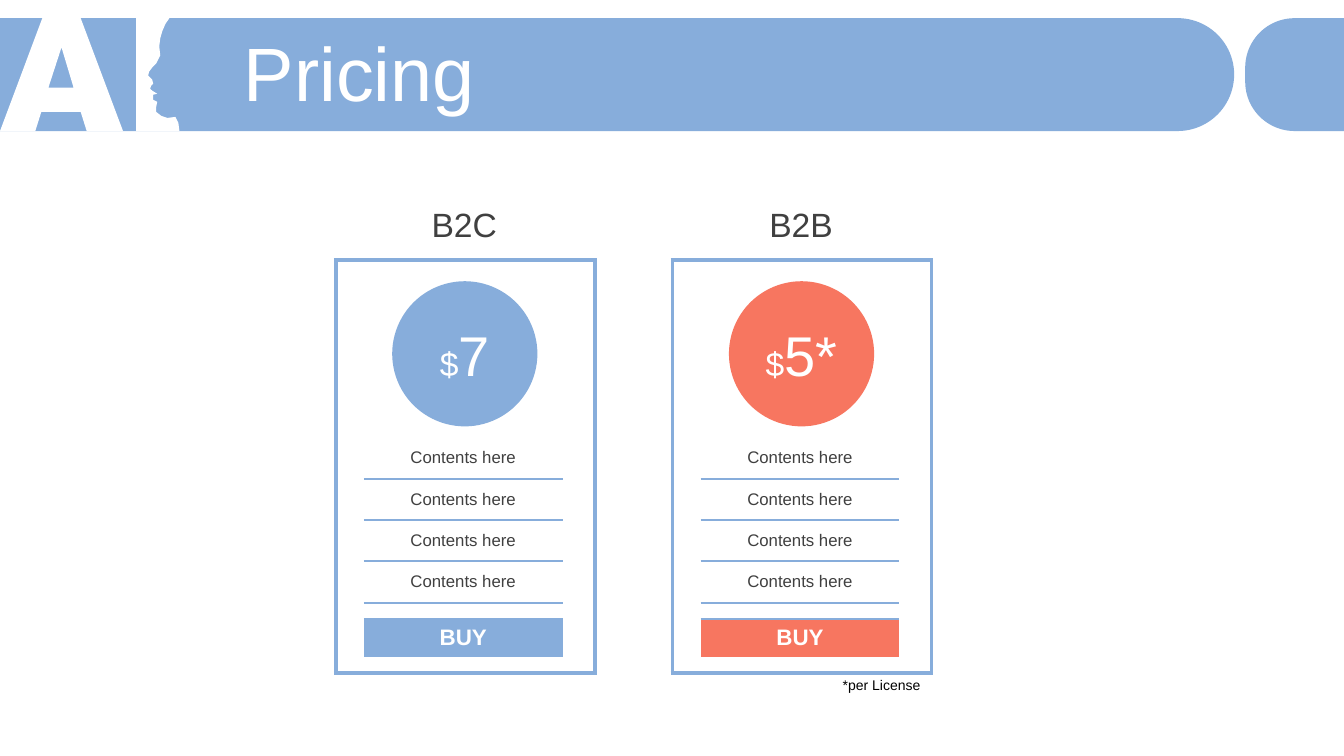
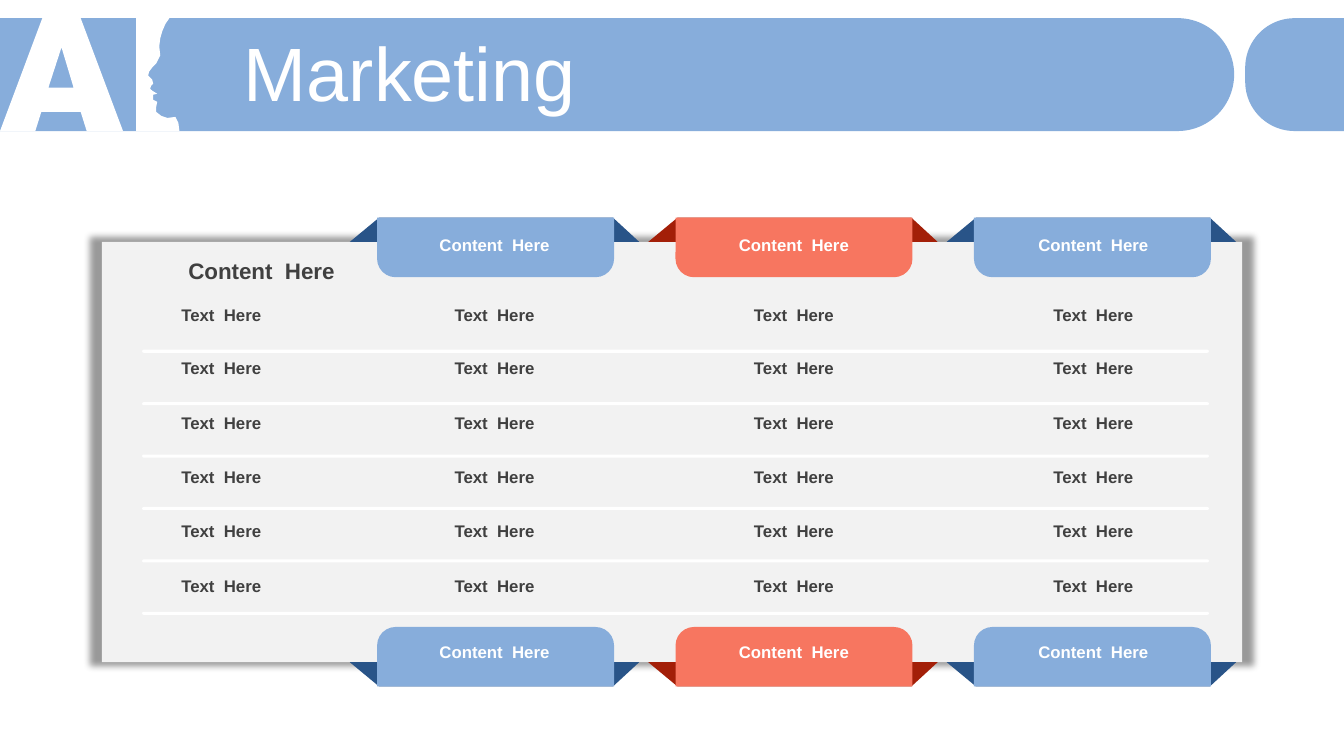
from dataclasses import dataclass

import pptx
import pptx.dml.color
import pptx.enum.shapes
import pptx.enum.text
import pptx.oxml
import pptx.oxml.ns
import pptx.util

Inches = pptx.util.Inches
Pt = pptx.util.Pt
Preset = pptx.enum.shapes.MSO_SHAPE
Align = pptx.enum.text.PP_ALIGN
Anchor = pptx.enum.text.MSO_ANCHOR
qn = pptx.oxml.ns.qn
Point = tuple[float, float]


@dataclass(frozen=True)
class Theme:
    font: str = "Arial"
    blue: str = "87ADDB"
    coral: str = "F77660"
    deep_blue: str = "295488"
    deep_red: str = "A31F08"
    panel: str = "F2F2F2"
    white: str = "FFFFFF"
    ink: str = "404040"
    black: str = "000000"
    title: int = 54
    price: int = 40
    heading: int = 24
    label: int = 16
    body: int = 12
    note: int = 10
    spacer: int = 4
    frame_line: float = 3
    row_line: float = 1.5


@dataclass(frozen=True)
class Plan:
    name: str
    price: str
    accent: str
    left: float


@dataclass(frozen=True)
class Ribbon:
    accent: str
    fold: str


THEME = Theme()
NO_GRID_STYLE = "{2D5ABB26-0587-4C30-8999-92F81FD0307C}"

# Title band
BAND_TOP, BAND_HEIGHT = 0.18, 1.12
LETTER_A = [(0.42, 0.18), (0.8, 0.18), (1.22, 1.3), (0.86, 1.3), (0.8, 1.11),
            (0.41, 1.11), (0.35, 1.3), (0, 1.3)]
LETTER_A_HOLE = [(0.61, 0.47), (0.48, 0.87), (0.73, 0.87)]
PROFILE = [(1.35, 0.18), (1.68, 0.18), (1.64, 0.24), (1.61, 0.31), (1.59, 0.38),
           (1.58, 0.46), (1.59, 0.55), (1.55, 0.63), (1.51, 0.67), (1.48, 0.71),
           (1.47, 0.75), (1.51, 0.79), (1.52, 0.83), (1.5, 0.85), (1.49, 0.88),
           (1.51, 0.9), (1.56, 0.93), (1.52, 0.94), (1.52, 0.99), (1.56, 1.01),
           (1.55, 1.06), (1.55, 1.11), (1.6, 1.15), (1.66, 1.17), (1.74, 1.16),
           (1.77, 1.22), (1.78, 1.3), (1.35, 1.3)]

# Pricing cards
PLANS = [Plan("B2C", "7", THEME.blue, 3.33), Plan("B2B", "5*", THEME.coral, 6.67)]
CARD_TOP = 2.58
CARD_COLUMNS = [0.28, 1.97, 0.32]
CARD_ROWS = [1.76, *[0.41] * 4, 0.16, 0.38, 0.16]
FEATURE_ROWS = range(1, 5)
BUY_ROW = 6

# Marketing grid
RIBBONS = [Ribbon(THEME.blue, THEME.deep_blue), Ribbon(THEME.coral, THEME.deep_red),
           Ribbon(THEME.blue, THEME.deep_blue)]
RIBBON_LEFT, RIBBON_PITCH, RIBBON_WIDTH, RIBBON_HEIGHT = 3.74, 2.96, 2.35, 0.59
PANEL_TOP, PANEL_HEIGHT, FOLD = 2.4, 4.17, 0.24
GRID_COLUMNS = [2.45, *[2.97] * 3]
GRID_ROWS = [0.86, 0.52, *[0.54] * 5, 0.78]
HEADER = "Content  Here"
ENTRY = "Text  Here"


def rgb(color: str):
    return pptx.dml.color.RGBColor.from_string(color)


def write(frame, text: str, *, size: int, color: str = THEME.ink, bold: bool = False,
          align=Align.CENTER, spacing: float = 1.0, before: int = 0):
    """Add a run to the first paragraph of a text frame."""
    paragraph = frame.paragraphs[0]
    paragraph.alignment = align
    paragraph.line_spacing = spacing
    paragraph.space_before = Pt(before)
    run = paragraph.add_run()
    run.text = text
    run.font.name, run.font.size, run.font.bold = THEME.font, Pt(size), bold
    run.font.color.rgb = rgb(color)


def text_box(slide, left: float, top: float, width: float, height: float, text: str, *,
             wrap: bool = True, anchor=Anchor.TOP, **style):
    frame = slide.shapes.add_textbox(
        Inches(left), Inches(top), Inches(width), Inches(height)).text_frame
    frame.word_wrap = wrap
    frame.vertical_anchor = anchor
    write(frame, text, **style)


def paint(shape, color: str):
    shape.shadow.inherit = False
    shape.fill.solid()
    shape.fill.fore_color.rgb = rgb(color)
    shape.line.fill.background()
    return shape


def block(slide, preset, left: float, top: float, width: float, height: float, color: str,
          adjust: tuple[float, ...] = (), rotation: float = 0):
    shape = slide.shapes.add_shape(
        preset, Inches(left), Inches(top), Inches(width), Inches(height))
    for index, value in enumerate(adjust):
        shape.adjustments[index] = value
    shape.rotation = rotation
    return paint(shape, color)


def outline(slide, contours: list[list[Point]], color: str):
    contours = [[(Inches(x), Inches(y)) for x, y in contour] for contour in contours]
    builder = slide.shapes.build_freeform(*contours[0][0], scale=1.0)
    for index, (start, *rest) in enumerate(contours):
        if index:
            builder.move_to(*start)
        builder.add_line_segments(rest, close=True)
    return paint(builder.convert_to_shape(), color)


def half_pill(slide, left: float, length: float, rotation: float):
    """Draw a band lying on its side, with its round end right (90) or left (270)."""
    shift = (length - BAND_HEIGHT) / 2
    block(slide, Preset.ROUND_2_SAME_RECTANGLE, left + shift, BAND_TOP - shift,
          BAND_HEIGHT, length, THEME.blue, (0.5, 0), rotation)


def titled_slide(deck, title: str):
    slide = deck.slides.add_slide(deck.slide_layouts[6])
    half_pill(slide, 0, 12.24, 90)
    outline(slide, [LETTER_A, LETTER_A_HOLE], THEME.white)
    outline(slide, [PROFILE], THEME.white)
    half_pill(slide, 12.35, 0.98, 270)
    text_box(slide, 2.32, 0.37, 10.69, 0.79, title, anchor=Anchor.MIDDLE, size=THEME.title,
             color=THEME.white, align=Align.LEFT, spacing=0.9, before=10)
    return slide


def plain_table(slide, left: float, top: float, columns: list[float], rows: list[float]):
    grid = slide.shapes.add_table(
        len(rows), len(columns), Inches(left), Inches(top),
        Inches(sum(columns)), Inches(sum(rows))).table
    grid.first_row = grid.horz_banding = False
    grid._tbl.tblPr.find(qn("a:tableStyleId")).text = NO_GRID_STYLE
    for column, width in zip(grid.columns, columns):
        column.width = Inches(width)
    for row, height in zip(grid.rows, rows):
        row.height = Inches(height)
    for cell in grid.iter_cells():
        cell.fill.background()
        cell.vertical_anchor = Anchor.MIDDLE
    return grid


def set_borders(cell, widths: dict[str, float]):
    """Set cell borders; sides are L, R, T and B, in that order."""
    properties = cell._tc.get_or_add_tcPr()
    for index, (side, width) in enumerate(widths.items()):
        properties.insert(index, pptx.oxml.parse_xml(
            f'<a:ln{side} {pptx.oxml.ns.nsdecls("a")} w="{Pt(width)}"><a:solidFill>'
            f'<a:srgbClr val="{THEME.blue}"/></a:solidFill></a:ln{side}>'))


def card_borders(row: int, column: int) -> dict[str, float]:
    last_row = len(CARD_ROWS) - 1
    middle = column == 1
    frame, rule = THEME.frame_line, THEME.row_line
    sides = {
        "L": frame if column == 0 else 0,
        "R": frame if column == 2 or row == 0 and column == 0 else 0,
        "T": frame if row == 0 else rule if middle and row - 1 in FEATURE_ROWS else 0,
        "B": frame if row == last_row else rule if middle and row in FEATURE_ROWS else 0,
    }
    return {side: width for side, width in sides.items() if width}


def pricing_card(slide, plan: Plan):
    text_box(slide, plan.left + 0.21, 1.97, 2.13, 0.5, plan.name, size=THEME.heading)

    # Framed table with ruled lines and a button row
    grid = plain_table(slide, plan.left, CARD_TOP, CARD_COLUMNS, CARD_ROWS)
    for row in range(len(CARD_ROWS)):
        for column in range(len(CARD_COLUMNS)):
            cell = grid.cell(row, column)
            cell.margin_left = cell.margin_right = cell.margin_top = cell.margin_bottom = 0
            set_borders(cell, card_borders(row, column))
            if column == 1 and row in FEATURE_ROWS:
                write(cell.text_frame, "Contents here", size=THEME.body)
            elif column == 1 and row == BUY_ROW:
                cell.fill.solid()
                cell.fill.fore_color.rgb = rgb(plan.accent)
                write(cell.text_frame, "BUY", size=THEME.label, color=THEME.white, bold=True)
            else:
                # Small type keeps empty cells from stretching thin rows
                cell.text_frame.paragraphs[0]._p.append(pptx.oxml.parse_xml(
                    f'<a:endParaRPr {pptx.oxml.ns.nsdecls("a")} sz="{THEME.spacer * 100}"/>'))
    grid.cell(0, 0).merge(grid.cell(0, 2))
    for column in (0, 2):
        grid.cell(2, column).merge(grid.cell(4, column))

    # Price disc
    disc = block(slide, Preset.OVAL, plan.left + 0.56, 2.79, 1.44, 1.44, plan.accent)
    disc.text_frame.vertical_anchor = Anchor.MIDDLE
    write(disc.text_frame, "$", size=THEME.heading, color=THEME.white)
    write(disc.text_frame, plan.price, size=THEME.price, color=THEME.white)


def pricing_slide(deck):
    slide = titled_slide(deck, "Pricing")
    for plan in PLANS:
        pricing_card(slide, plan)
    text_box(slide, 8.26, 6.66, 0.98, 0.27, "*per License", wrap=False, size=THEME.note,
             color=THEME.black, align=Align.LEFT)


def cast_shadow(shape):
    effects = shape._element.spPr.find(qn("a:effectLst"))
    effects.append(pptx.oxml.parse_xml(
        f'<a:outerShdw {pptx.oxml.ns.nsdecls("a")} blurRad="{Pt(5)}" sx="102000" sy="102000" '
        f'algn="ctr" rotWithShape="0"><a:srgbClr val="{THEME.black}">'
        '<a:alpha val="40000"/></a:srgbClr></a:outerShdw>'))


def ribbon_pair(slide, ribbon: Ribbon, left: float):
    """Wrap one ribbon over the top and bottom edges of the panel."""
    right = left + RIBBON_WIDTH
    bottom = PANEL_TOP + PANEL_HEIGHT
    for edge, outer in ((PANEL_TOP, PANEL_TOP - FOLD), (bottom, bottom + FOLD)):
        outline(slide, [[(left - 0.27, edge), (left + 0.02, outer),
                         (right - 0.01, outer), (right + 0.25, edge)]], ribbon.fold)
    for top, corners in ((PANEL_TOP - FOLD, (0, 0.31)),
                         (bottom + FOLD - RIBBON_HEIGHT, (0.31, 0))):
        block(slide, Preset.ROUND_2_SAME_RECTANGLE, left, top, RIBBON_WIDTH, RIBBON_HEIGHT,
              ribbon.accent, corners)


def marketing_slide(deck):
    slide = titled_slide(deck, "Marketing")

    # Panel with row separators
    cast_shadow(block(slide, Preset.RECTANGLE, 1.01, PANEL_TOP, 11.31, PANEL_HEIGHT,
                      THEME.panel))
    for index in range(6):
        block(slide, Preset.ROUNDED_RECTANGLE, 1.41, 3.47 + 0.52 * index, 10.58, 0.03,
              THEME.white, (0.5,))
    for index, ribbon in enumerate(RIBBONS):
        ribbon_pair(slide, ribbon, RIBBON_LEFT + RIBBON_PITCH * index)

    # Text grid
    grid = plain_table(slide, 0.97, 2.01, GRID_COLUMNS, GRID_ROWS)
    last_row = len(GRID_ROWS) - 1
    for row in range(len(GRID_ROWS)):
        for column in range(len(GRID_COLUMNS)):
            frame = grid.cell(row, column).text_frame
            if 0 < row < last_row:
                write(frame, ENTRY, size=THEME.body, bold=True)
            elif column:
                write(frame, HEADER, size=THEME.body, color=THEME.white, bold=True)
    corner = grid.cell(0, 0)
    corner.vertical_anchor = Anchor.BOTTOM
    write(corner.text_frame, HEADER, size=THEME.label, bold=True, align=Align.RIGHT)


def main():
    deck = pptx.Presentation()
    deck.slide_width, deck.slide_height = Inches(13.33), Inches(7.5)
    pricing_slide(deck)
    marketing_slide(deck)
    deck.save("out.pptx")


if __name__ == "__main__":
    main()
